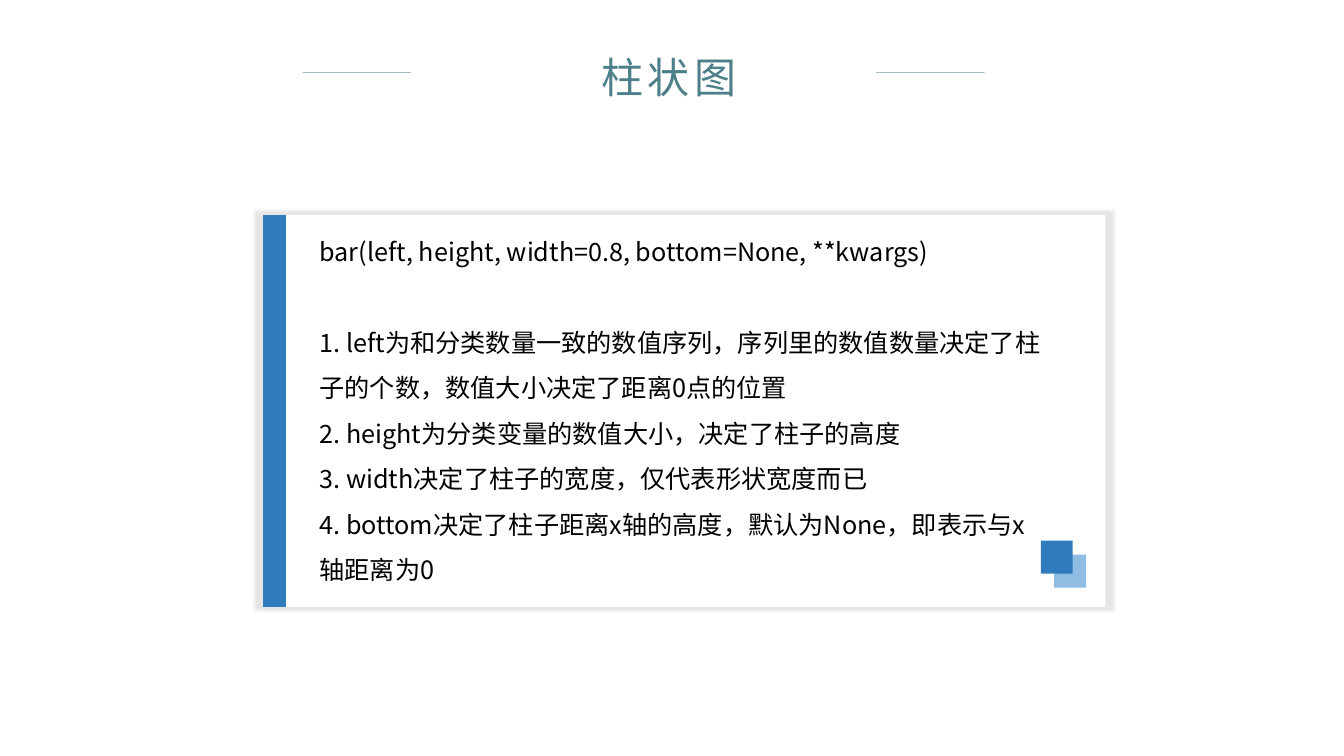
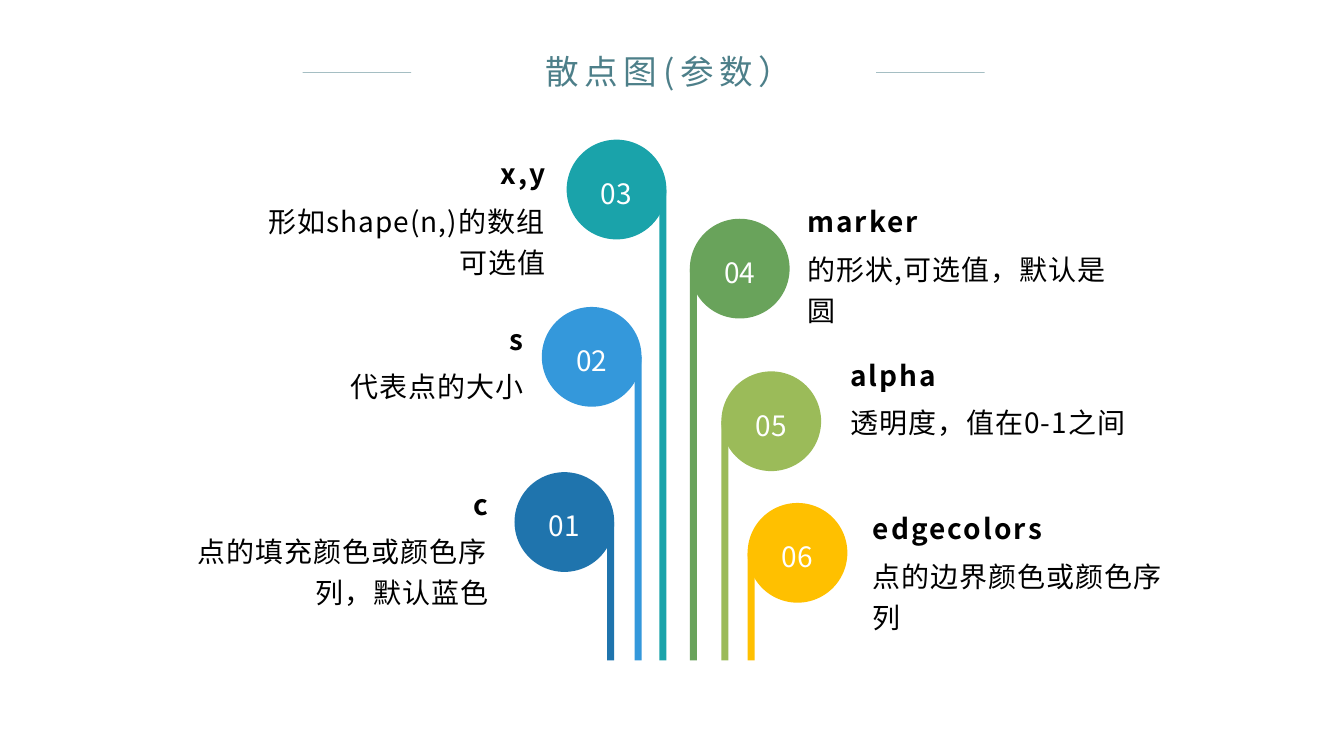
from lxml.etree import SubElement
from pptx import Presentation
from pptx.dml.color import RGBColor
from pptx.enum.shapes import MSO_CONNECTOR, MSO_SHAPE
from pptx.enum.text import MSO_ANCHOR, MSO_AUTO_SIZE, PP_ALIGN
from pptx.oxml.ns import qn
from pptx.util import Pt

WHITE = RGBColor(0xFF, 0xFF, 0xFF)
BLACK = RGBColor(0x00, 0x00, 0x00)
TEAL = RGBColor(0x4D, 0x7F, 0x89)
BLUE = RGBColor(0x2F, 0x7B, 0xBB)
LIGHT_BLUE = RGBColor(0x8E, 0xBC, 0xE2)

FONT_JP = "Noto Sans CJK JP"
FONT_SC = "Noto Sans CJK SC"

BAR_TITLE = "柱状图"
BAR_SIGNATURE = "bar(left, height, width=0.8, bottom=None, **kwargs)"
BAR_PARAMETERS = [
    "1. left为和分类数量一致的数值序列，序列里的数值数量决定了柱子的个数，数值大小决定了距离0点的位置",
    "2. height为分类变量的数值大小，决定了柱子的高度",
    "3. width决定了柱子的宽度，仅代表形状宽度而已",
    "4. bottom决定了柱子距离x轴的高度，默认为None，即表示与x轴距离为0",
]

SCATTER_TITLE = "散点图(参数）"
# name, description, colour, circle (left, top), text (left, top)
SCATTER_PARAMETERS = [
    ("c", "点的填充颜色或颜色序列，默认蓝色", RGBColor(0x1F, 0x74, 0xAD), (735, 674.5), (258.5, 683.5)),
    ("s", "代表点的大小", RGBColor(0x34, 0x98, 0xDB), (774, 438.5), (309, 448)),
    ("x,y", "形如shape(n,)的数组可选值", RGBColor(0x1A, 0xA3, 0xAA), (809.5, 199.5), (340, 211.5)),
    ("marker", "的形状,可选值，默认是圆", RGBColor(0x69, 0xA3, 0x5B), (985.5, 312.5), (1146, 280)),
    ("alpha", "透明度，值在0-1之间", RGBColor(0x9B, 0xBB, 0x59), (1030.5, 530.5), (1207.5, 499.5)),
    ("edgecolors", "点的边界颜色或颜色序列", RGBColor(0xFF, 0xC0, 0x00), (1068, 718.5), (1240, 718.5)),
]
LEFT_SIDE_COUNT = 3
CIRCLE_SIZE = 142.5
STEM_WIDTH = 10
STEM_BOTTOM = 943.5
LABEL_WIDTH = 446
DESCRIPTION_OFFSET = 66

BODY_SIZE, BODY_PITCH = 36, 64.8
LABEL_SIZE, LABEL_PITCH = 40, 58.6


def format_paragraph(paragraph, font_name, size, pitch, color=BLACK,
                     alignment=PP_ALIGN.LEFT, bold=False, tracking=0):
    """Style a paragraph; pitch is the line height and tracking the letter gap, in points."""
    paragraph.alignment = alignment
    paragraph.line_spacing = Pt(pitch)
    font = paragraph.font
    font.name, font.size, font.bold = font_name, Pt(size), bold
    font.color.rgb = color
    properties = paragraph._p.pPr.find(qn("a:defRPr"))
    properties.set("spc", str(int(tracking * 100)))
    properties.find(qn("a:latin")).addnext(
        properties.makeelement(qn("a:ea"), {"typeface": font_name}))


def add_block(slide, kind, left, top, width, height, color):
    shape = slide.shapes.add_shape(kind, Pt(left), Pt(top), Pt(width), Pt(height))
    shape.shadow.inherit = False
    shape.fill.solid()
    shape.fill.fore_color.rgb = color
    shape.line.fill.background()
    return shape


def add_text_frame(slide, left, top, width, height, anchor=MSO_ANCHOR.TOP):
    frame = slide.shapes.add_textbox(Pt(left), Pt(top), Pt(width), Pt(height)).text_frame
    frame.word_wrap = True
    frame.vertical_anchor = anchor
    return frame


def add_title_rule(slide, left):
    top, length = 103.5, 155
    rule = slide.shapes.add_connector(
        MSO_CONNECTOR.STRAIGHT, Pt(left), Pt(top), Pt(left + length), Pt(top))
    rule.line.width = Pt(1)
    rule.line.color.rgb = TEAL
    color = rule._element.spPr.find(".//" + qn("a:srgbClr"))
    SubElement(color, qn("a:alpha"), val="50000")
    SubElement(rule._element.spPr, qn("a:effectLst"))


def add_titled_slide(presentation, text, font_name, size, tracking, height):
    slide = presentation.slides.add_slide(presentation.slide_layouts[5])
    for left in (432.5, 1251.5):
        add_title_rule(slide, left)
    title = slide.shapes.title
    title.left, title.top, title.width, title.height = Pt(628.5), Pt(64), Pt(654), Pt(height)
    frame = title.text_frame
    frame.text = text
    frame.word_wrap = True
    frame.auto_size = MSO_AUTO_SIZE.NONE
    frame.vertical_anchor = MSO_ANCHOR.TOP
    format_paragraph(frame.paragraphs[0], font_name, size, size * 1.3, TEAL,
                     PP_ALIGN.CENTER, tracking=tracking)
    return slide


def add_card_shadow(card):
    """Give the card a soft grey edge that shows on all sides."""
    effects = card._element.spPr.find(qn("a:effectLst"))
    shadow = SubElement(effects, qn("a:outerShdw"), blurRad=str(Pt(5)),
                        sx="102000", sy="102000", algn="ctr", rotWithShape="0")
    color = SubElement(shadow, qn("a:srgbClr"), val=str(BLACK))
    SubElement(color, qn("a:alpha"), val="10000")


def build_bar_slide(presentation):
    slide = add_titled_slide(presentation, BAR_TITLE, FONT_JP, 60, 6.6, 152.5)
    left, top, height = 376, 307.5, 559.5
    card = add_block(slide, MSO_SHAPE.RECTANGLE, left, top, 1203, height, WHITE)
    add_card_shadow(card)
    add_block(slide, MSO_SHAPE.RECTANGLE, left, top, 32.5, height, BLUE)

    frame = add_text_frame(slide, 449.5, 313, 1055.5, 530.5)
    frame.text = "\n".join([BAR_SIGNATURE, *BAR_PARAMETERS])
    for paragraph in frame.paragraphs:
        format_paragraph(paragraph, FONT_JP, BODY_SIZE, BODY_PITCH)
    frame.paragraphs[0].space_after = Pt(BODY_PITCH)

    for square_left, square_top, color in ((1506, 792.5, LIGHT_BLUE), (1487, 772.5, BLUE)):
        add_block(slide, MSO_SHAPE.RECTANGLE, square_left, square_top, 45.5, 47, color)


def add_label(slide, left, top, name, description, alignment):
    heading = add_text_frame(slide, left, top, LABEL_WIDTH, 64, MSO_ANCHOR.BOTTOM)
    body = add_text_frame(slide, left, top + DESCRIPTION_OFFSET, LABEL_WIDTH, 111.5)
    for frame, text, bold, tracking in ((heading, name, True, 3), (body, description, False, 1.5)):
        frame.text = text
        format_paragraph(frame.paragraphs[0], FONT_SC, LABEL_SIZE, LABEL_PITCH,
                         alignment=alignment, bold=bold, tracking=tracking)


def build_scatter_slide(presentation):
    slide = add_titled_slide(presentation, SCATTER_TITLE, FONT_SC, 48, 8, 65.5)
    for number, parameter in enumerate(SCATTER_PARAMETERS, start=1):
        name, description, color, (left, top), label_position = parameter
        on_left = number <= LEFT_SIDE_COUNT
        stem_left = left + CIRCLE_SIZE - STEM_WIDTH if on_left else left
        stem_top = top + CIRCLE_SIZE / 2
        add_block(slide, MSO_SHAPE.RECTANGLE, stem_left, stem_top,
                  STEM_WIDTH, STEM_BOTTOM - stem_top, color)

        circle = add_block(slide, MSO_SHAPE.OVAL, left, top, CIRCLE_SIZE, CIRCLE_SIZE, color)
        frame = circle.text_frame
        frame.text = f"{number:02d}"
        frame.vertical_anchor = MSO_ANCHOR.MIDDLE
        format_paragraph(frame.paragraphs[0], FONT_SC, LABEL_SIZE, LABEL_PITCH,
                         WHITE, PP_ALIGN.CENTER)

        add_label(slide, *label_position, name, description,
                  PP_ALIGN.RIGHT if on_left else PP_ALIGN.LEFT)


def main():
    presentation = Presentation()
    presentation.slide_width, presentation.slide_height = Pt(1920), Pt(1080)
    build_bar_slide(presentation)
    build_scatter_slide(presentation)
    presentation.save("out.pptx")


if __name__ == "__main__":
    main()
